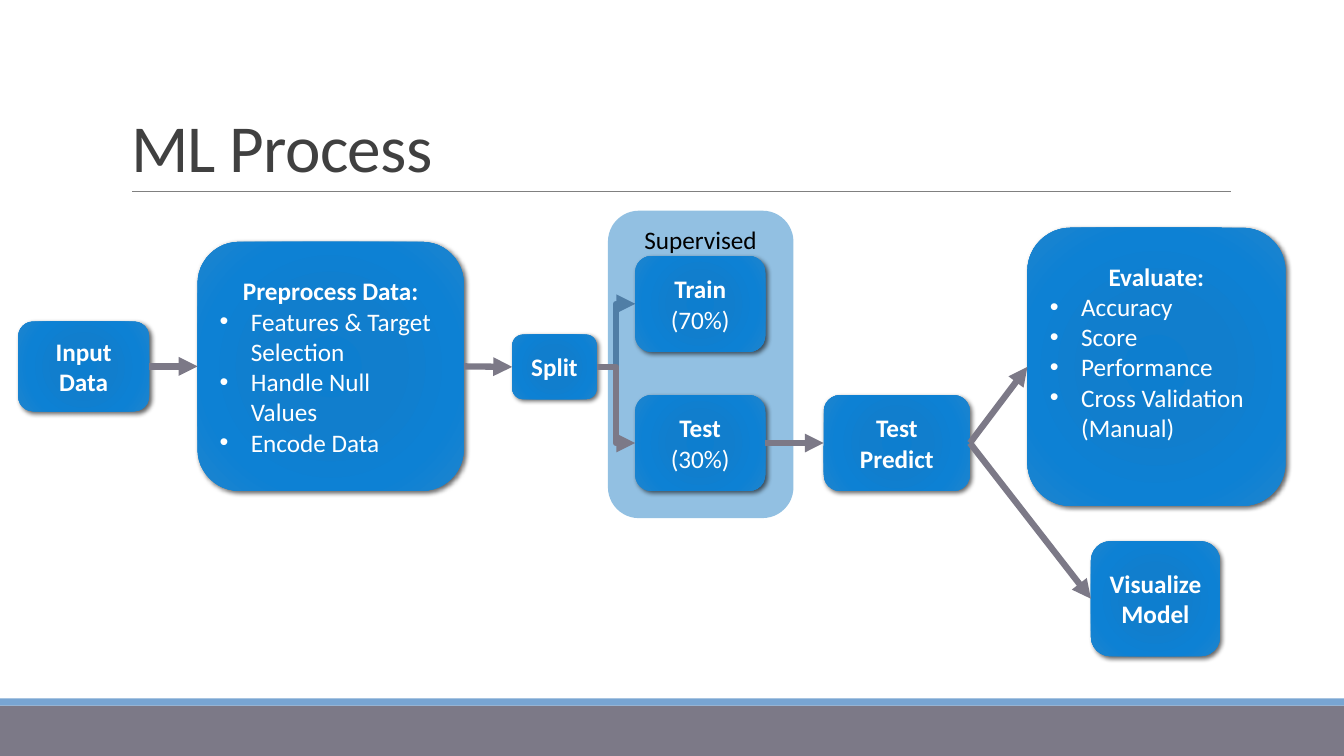
from lxml.etree import SubElement
from pptx import Presentation
from pptx.dml.color import RGBColor
from pptx.enum.shapes import MSO_CONNECTOR as Connector, MSO_SHAPE as Shape
from pptx.enum.text import MSO_ANCHOR as Anchor, MSO_AUTO_SIZE as AutoSize, PP_ALIGN as Align
from pptx.oxml import parse_xml
from pptx.oxml.ns import nsdecls, qn
from pptx.util import Inches, Pt

COLORS = {
    "title": "404040", "rule": "808080", "gray": "7C7987", "stripe": "78A5D2",
    "panel": "2683C6", "white": "FFFFFF", "black": "000000",
}
BOX_GRADIENT = {0: "0D7ECF", 34: "117ECD", 70: "0D81D4", 100: "1E84CE"}
FONT = "Calibri"
TEXT_SIZE = 18
LEFT, RIGHT = 1, 3


class ProcessSlide:
    def __init__(self, presentation):
        self.slide = presentation.slides.add_slide(presentation.slide_layouts[5])
        self.shapes = self.slide.shapes

    def color(self, name):
        return RGBColor.from_string(COLORS[name])

    def style(self, paragraph, color, size=TEXT_SIZE, bold=False):
        font = paragraph.font
        font.name, font.size, font.bold = FONT, Pt(size), bold
        font.color.rgb = self.color(color)

    def title(self, text, left, top, width, height):
        shape = self.shapes.title
        shape.left, shape.top = Inches(left), Inches(top)
        shape.width, shape.height = Inches(width), Inches(height)
        frame = shape.text_frame
        frame.text = text
        frame.auto_size = AutoSize.NONE
        frame.vertical_anchor = Anchor.BOTTOM
        paragraph = frame.paragraphs[0]
        paragraph.alignment = Align.LEFT
        paragraph.line_spacing = 0.85
        self.style(paragraph, "title", 48)
        paragraph.font._element.set("spc", "-50")

    def block(self, kind, left, top, width, height, fill=None):
        shape = self.shapes.add_shape(
            kind, Inches(left), Inches(top), Inches(width), Inches(height))
        shape.line.fill.background()
        if fill:
            shape.shadow.inherit = False
            shape.fill.solid()
            shape.fill.fore_color.rgb = self.color(fill)
        return shape

    def panel(self, text, left, top, width, height):
        shape = self.block(Shape.ROUNDED_RECTANGLE, left, top, width, height, "panel")
        color = shape.fill._xPr.find(".//" + qn("a:srgbClr"))
        SubElement(color, qn("a:alpha"), val="50000")
        frame = shape.text_frame
        frame.text = text
        frame.vertical_anchor = Anchor.TOP
        frame.paragraphs[0].alignment = Align.CENTER
        self.style(frame.paragraphs[0], "black")
        return shape

    def box(self, heading, left, top, width, height, lines=(), bullets=(), bottom=0.05):
        shape = self.block(Shape.ROUNDED_RECTANGLE, left, top, width, height)
        stops = "".join(
            f'<a:gs pos="{position * 1000}"><a:srgbClr val="{color}"/></a:gs>'
            for position, color in BOX_GRADIENT.items())
        outline = shape.line._get_or_add_ln()
        outline.addprevious(parse_xml(
            f'<a:gradFill {nsdecls("a")}><a:gsLst>{stops}</a:gsLst><a:path path="circle">'
            '<a:fillToRect l="100000" t="100000" r="100000" b="100000"/></a:path></a:gradFill>'))
        outline.addnext(parse_xml(
            f'<a:effectLst {nsdecls("a")}><a:outerShdw blurRad="{Pt(3.5)}" dist="{Pt(2)}" '
            f'dir="2700000" algn="br" rotWithShape="0"><a:srgbClr val="{COLORS["black"]}">'
            '<a:alpha val="60000"/></a:srgbClr></a:outerShdw></a:effectLst>'))
        frame = shape.text_frame
        frame.word_wrap = True
        frame.vertical_anchor = Anchor.MIDDLE
        frame.margin_bottom = Inches(bottom)
        frame.text = "\n".join([heading, *lines, *bullets])
        for index, paragraph in enumerate(frame.paragraphs):
            paragraph.alignment = Align.CENTER
            self.style(paragraph, "white", bold=index == 0)
            if index > len(lines):
                self.bullet(paragraph)
        return shape

    def bullet(self, paragraph):
        paragraph.alignment = Align.LEFT
        properties = paragraph._p.get_or_add_pPr()
        properties.set("marL", str(Inches(0.31)))
        properties.set("indent", str(-Inches(0.31)))
        properties.insert(0, parse_xml(f'<a:buChar {nsdecls("a")} char="•"/>'))
        properties.insert(0, parse_xml(f'<a:buFont {nsdecls("a")} typeface="Arial"/>'))

    def line(self, kind, color, width, start=(0, 0), end=(0, 0)):
        points = [Inches(value) for value in (*start, *end)]
        connector = self.shapes.add_connector(kind, *points)
        connector.line.color.rgb = self.color(color)
        connector.line.width = Pt(width)
        SubElement(connector._element.spPr, qn("a:effectLst"))
        return connector

    def arrow(self, source, target, kind=Connector.STRAIGHT):
        connector = self.line(kind, "gray", 4.5)
        connector.begin_connect(source, RIGHT)
        connector.end_connect(target, LEFT)
        SubElement(connector.line._get_or_add_ln(), qn("a:tailEnd"), type="triangle")
        return connector


presentation = Presentation()
presentation.slide_width, presentation.slide_height = Inches(13.33), Inches(7.5)
page = ProcessSlide(presentation)

page.block(Shape.RECTANGLE, 0, 7, 13.33, 0.5, "gray")
page.block(Shape.RECTANGLE, 0, 6.93, 13.33, 0.07, "stripe")
page.line(Connector.STRAIGHT, "rule", 0.5, (1.31, 1.9), (12.21, 1.9))
page.title("ML Process", 1.2, 0.31, 11, 1.59)

supervised = page.panel("Supervised", 6.03, 2.09, 1.84, 3.05)
input_data = page.box("Input Data", 0.18, 3.19, 1.3, 0.89)
preprocess = page.box(
    "Preprocess Data:", 1.96, 2.4, 2.64, 2.47,
    bullets=["Features & Target Selection", "Handle Null Values", "Encode Data"])
split = page.box("Split", 5.08, 3.32, 0.84, 0.64)
train = page.box("Train", 6.3, 2.54, 1.29, 0.95, lines=["(70%)"])
test = page.box("Test", 6.3, 3.92, 1.29, 0.95, lines=["(30%)"])
predict = page.box("Test Predict", 8.17, 3.92, 1.45, 0.95)
evaluate = page.box(
    "Evaluate:", 10.19, 2.26, 2.56, 2.76, bottom=0.35,
    bullets=["Accuracy", "Score", "Performance", "Cross Validation (Manual)"])
visualize = page.box("Visualize", 10.82, 5.37, 1.28, 1.14)
visualize.text_frame.paragraphs[0].add_line_break()
visualize.text_frame.paragraphs[0].add_run().text = "Model"

train_arrow = page.arrow(split, train, Connector.ELBOW)
supervised._element.addprevious(train_arrow._element)
page.arrow(split, test, Connector.ELBOW)
for source, target in [
    (input_data, preprocess), (preprocess, split), (test, predict),
    (predict, evaluate), (predict, visualize),
]:
    page.arrow(source, target)

presentation.save("out.pptx")
